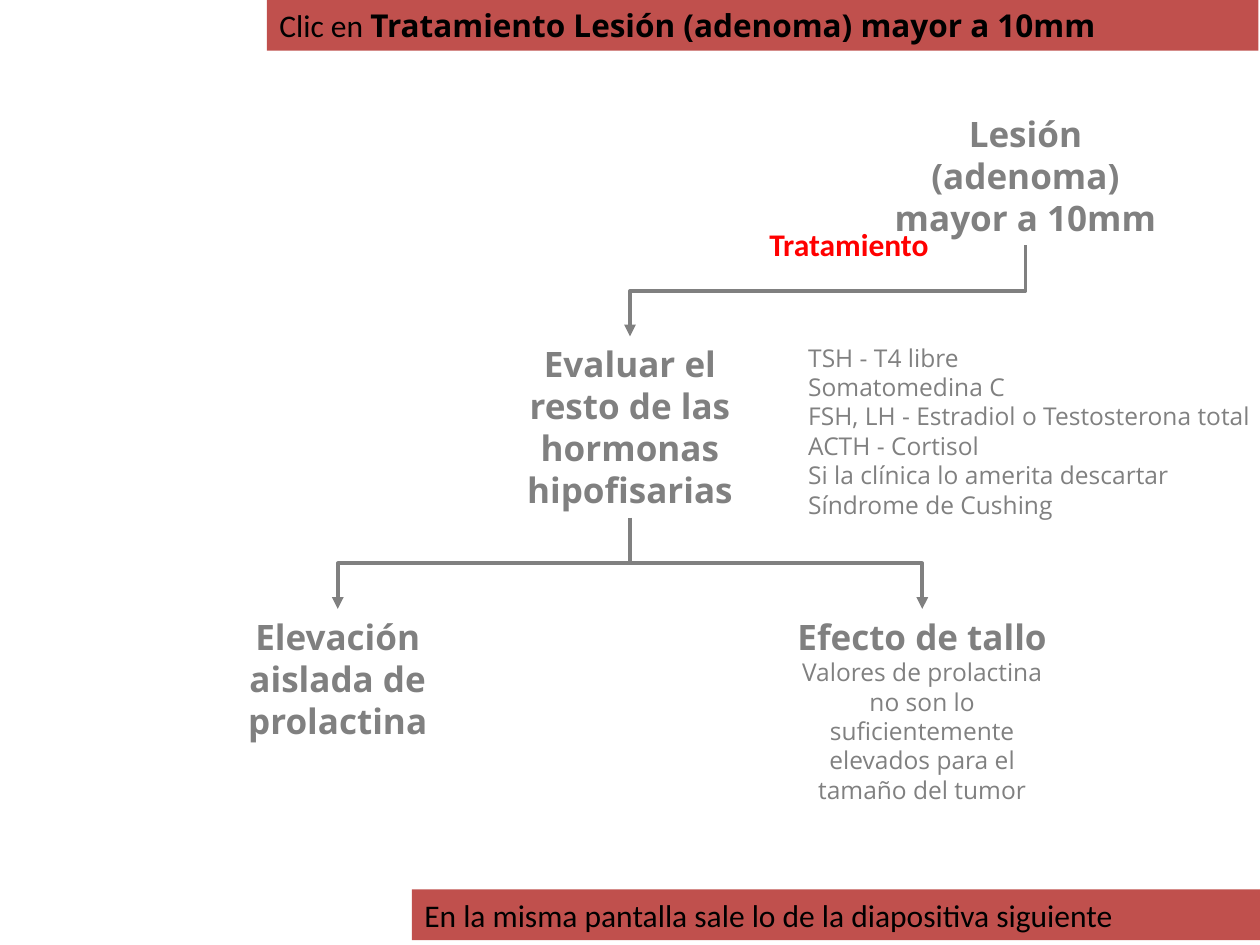
from dataclasses import dataclass
from typing import Optional

from lxml.etree import SubElement
from pptx import Presentation
from pptx.dml.color import RGBColor
from pptx.enum.shapes import MSO_CONNECTOR, MSO_SHAPE
from pptx.enum.text import MSO_ANCHOR, MSO_AUTO_SIZE, PP_ALIGN
from pptx.oxml.ns import qn
from pptx.util import Pt

GREY = RGBColor(0x80, 0x80, 0x80)
RED = RGBColor(0xFF, 0, 0)
BLACK = RGBColor(0, 0, 0)
WHITE = RGBColor(0xFF, 0xFF, 0xFF)
BRICK = RGBColor(0xC0, 0x50, 0x4D)

HEADING = {"name": "Open Sans", "size": Pt(20), "bold": True}
DETAIL = {"name": "Open Sans", "size": Pt(14), "bold": False}
LABEL = {"name": "Calibri", "size": Pt(18), "bold": True}
NOTE = {"name": "Calibri", "size": Pt(18), "bold": False}
NOTE_STRONG = {"name": "Open Sans", "size": Pt(18), "bold": True}

CENTRE = 360
BRANCH = 167
LESION_X = 586
DROP = 52


@dataclass
class Block:
    """A text block; each paragraph is a list of (text, format) runs."""
    left: float
    top: float
    width: float
    height: float
    paragraphs: list
    color: RGBColor = GREY
    fill: Optional[RGBColor] = None
    align: PP_ALIGN = PP_ALIGN.LEFT
    wrap: bool = True


@dataclass
class Branch:
    """An elbow arrow that leaves downwards and arrives from above."""
    start_x: float
    top: float
    end_x: float


def node(centre: float, top: float, width: float, height: float, paragraphs: list) -> Block:
    """Return a flowchart step centred on a vertical axis."""
    return Block(centre - width / 2, top, width, height, paragraphs, align=PP_ALIGN.CENTER)


def draw_block(slide, block: Block) -> None:
    """Draw a text block, on a filled rectangle if it has a fill."""
    box = [Pt(v) for v in (block.left, block.top, block.width, block.height)]
    if block.fill is None:
        shape = slide.shapes.add_textbox(*box)
    else:
        shape = slide.shapes.add_shape(MSO_SHAPE.RECTANGLE, *box)
        shape.shadow.inherit = False
        shape.fill.solid()
        shape.fill.fore_color.rgb = block.fill
        shape.line.fill.background()
    frame = shape.text_frame
    settings = {"word_wrap": block.wrap, "vertical_anchor": MSO_ANCHOR.TOP,
                "auto_size": MSO_AUTO_SIZE.SHAPE_TO_FIT_TEXT}
    for key, value in settings.items():
        setattr(frame, key, value)
    for index, runs in enumerate(block.paragraphs):
        paragraph = frame.add_paragraph() if index else frame.paragraphs[0]
        paragraph.alignment = block.align
        for text, style in runs:
            run = paragraph.add_run()
            run.text = text
            run.font.color.rgb = block.color
            for key, value in style.items():
                setattr(run.font, key, value)


def draw_branch(slide, branch: Branch) -> None:
    """Draw an elbow arrow, turned so that its ends are vertical."""
    middle_x = (branch.start_x + branch.end_x) / 2
    middle_y = branch.top + DROP / 2
    span = abs(branch.end_x - branch.start_x)
    arrow = slide.shapes.add_connector(
        MSO_CONNECTOR.ELBOW,
        Pt(middle_x - DROP / 2), Pt(middle_y - span / 2),
        Pt(middle_x + DROP / 2), Pt(middle_y + span / 2))
    properties = arrow._element.spPr
    transform = properties.find(qn("a:xfrm"))
    if branch.end_x < branch.start_x:
        transform.set("rot", str(90 * 60000))
    else:
        transform.set("rot", str(270 * 60000))
        transform.set("flipH", "1")
    arrow.line.color.rgb = GREY
    arrow.line.width = Pt(2.25)
    SubElement(arrow.line._get_or_add_ln(), qn("a:tailEnd"), type="triangle")
    SubElement(properties, qn("a:effectLst"))


HORMONES = ["TSH - T4 libre", "Somatomedina C", "FSH, LH - Estradiol o Testosterona total",
            "ACTH - Cortisol", "Si la clínica lo amerita descartar Síndrome de Cushing"]

BLOCKS = [
    node(LESION_X, 60.5, 164, 80, [[("Lesión (adenoma) mayor a 10mm", HEADING)]]),
    node(CENTRE, 192.2, 164, 104, [[("Evaluar el resto de las hormonas hipofisarias", HEADING)]]),
    Block(454.8, 192.2, 273.6, 108.7, [[(test, DETAIL)] for test in HORMONES], fill=WHITE),
    node(CENTRE - BRANCH, 348, 169, 80, [[("Elevación aislada de prolactina", HEADING)]]),
    node(CENTRE + BRANCH, 348, 169, 99.5, [
        [("Efecto de tallo", HEADING)],
        [("Valores de prolactina no son lo suficientemente elevados para el tamaño del tumor",
          DETAIL)]]),
    Block(432.5, 124.8, 106, 29, [[("Tratamiento", LABEL)]], color=RED, wrap=False),
    Block(152.6, 0, 566.6, 29, [[("Clic en ", NOTE),
                                 ("Tratamiento Lesión (adenoma) mayor a 10mm", NOTE_STRONG)]],
          color=BLACK, fill=BRICK),
    Block(235.4, 508.2, 493, 29,
          [[("En la misma pantalla sale lo de la diapositiva siguiente", NOTE)]],
          color=BLACK, fill=BRICK),
]

BRANCHES = [
    Branch(LESION_X, 140.3, CENTRE),
    Branch(CENTRE, 296, CENTRE - BRANCH),
    Branch(CENTRE, 296, CENTRE + BRANCH),
]

presentation = Presentation()
presentation.slide_width, presentation.slide_height = Pt(720), Pt(540)
slide = presentation.slides.add_slide(presentation.slide_layouts[6])
for block in BLOCKS:
    draw_block(slide, block)
for branch in BRANCHES:
    draw_branch(slide, branch)
presentation.save("out.pptx")
